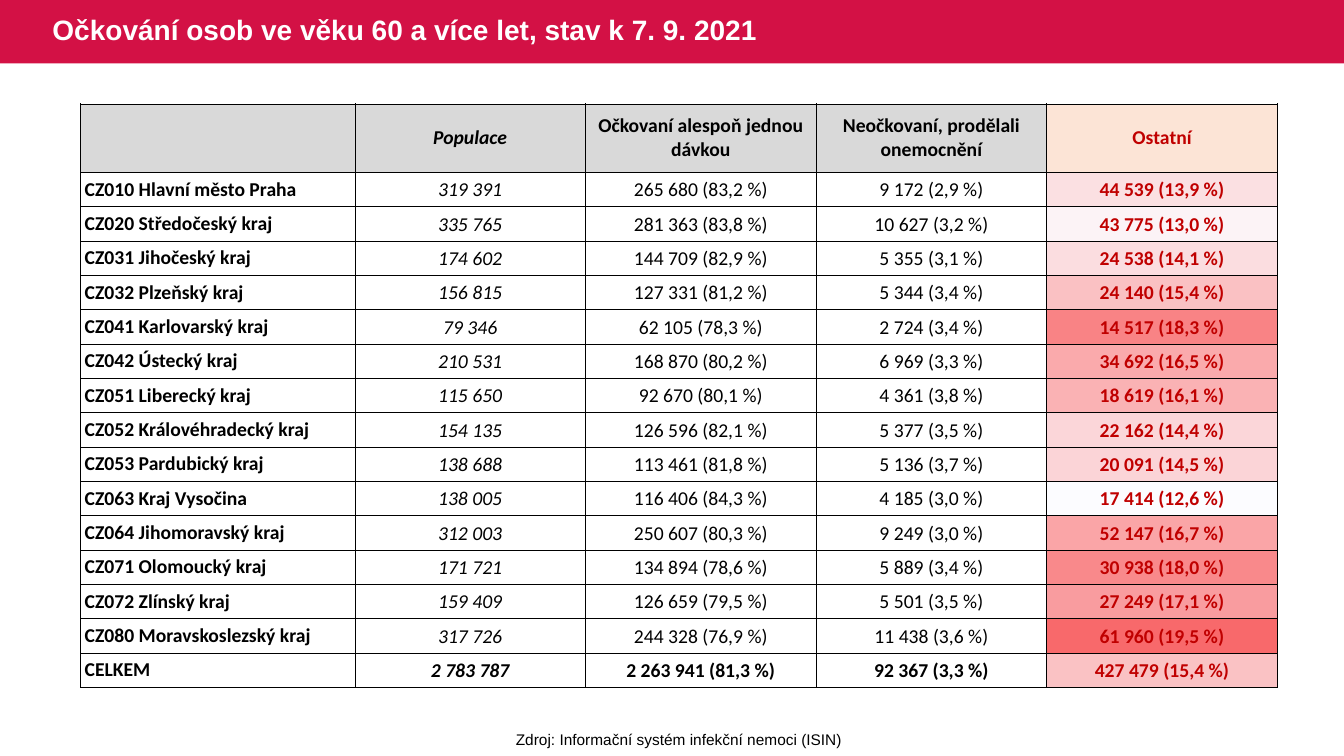
from dataclasses import astuple, dataclass
from typing import Any

from lxml.etree import SubElement
from pptx import Presentation
from pptx.dml.color import RGBColor
from pptx.enum.shapes import MSO_SHAPE
from pptx.enum.text import MSO_ANCHOR, MSO_AUTO_SIZE, PP_ALIGN
from pptx.oxml.ns import qn
from pptx.util import Inches, Pt

BLACK = RGBColor(0x00, 0x00, 0x00)
WHITE = RGBColor(0xFF, 0xFF, 0xFF)
BRAND = RGBColor(0xD3, 0x11, 0x45)
GREY = RGBColor(0xD9, 0xD9, 0xD9)
PEACH = RGBColor(0xFC, 0xE4, 0xD6)
RED = RGBColor(0xC0, 0x00, 0x00)
LOW = RGBColor(0xFC, 0xFC, 0xFF)
HIGH = RGBColor(0xF8, 0x69, 0x6B)

LEFT, TOP, WIDTH = Inches(0.8), Inches(1.03), Inches(11.87)
HEAD, BODY = Inches(0.68), Inches(5.11)
FIRST = Inches(2.72)
COL = (WIDTH - FIRST) // 4

WIDE = {"margin_left": Inches(0.04), "margin_right": Inches(0.04),
        "margin_top": 0, "margin_bottom": 0}
TIGHT = {"margin_left": Inches(0.01), "margin_right": Inches(0.01),
         "margin_top": Inches(0.01), "margin_bottom": 0}


@dataclass
class Region:
    name: str
    people: int
    jabbed: int
    healed: int
    others: int

    @property
    def share(self) -> float:
        return self.others / self.people

    def texts(self) -> list[str]:
        name, people, *parts = astuple(self)
        return [name, number(people)] + [
            f"{number(part)} ({part / people:.1%})".replace(".", ",").replace("%", " %")
            for part in parts]


HEADS = ["", "Populace", "Očkovaní alespoň jednou dávkou",
         "Neočkovaní, prodělali onemocnění", "Ostatní"]
REGIONS = [
    Region("CZ010 Hlavní město Praha", 319391, 265680, 9172, 44539),
    Region("CZ020 Středočeský kraj", 335765, 281363, 10627, 43775),
    Region("CZ031 Jihočeský kraj", 174602, 144709, 5355, 24538),
    Region("CZ032 Plzeňský kraj", 156815, 127331, 5344, 24140),
    Region("CZ041 Karlovarský kraj", 79346, 62105, 2724, 14517),
    Region("CZ042 Ústecký kraj", 210531, 168870, 6969, 34692),
    Region("CZ051 Liberecký kraj", 115650, 92670, 4361, 18619),
    Region("CZ052 Královéhradecký kraj", 154135, 126596, 5377, 22162),
    Region("CZ053 Pardubický kraj", 138688, 113461, 5136, 20091),
    Region("CZ063 Kraj Vysočina", 138005, 116406, 4185, 17414),
    Region("CZ064 Jihomoravský kraj", 312003, 250607, 9249, 52147),
    Region("CZ071 Olomoucký kraj", 171721, 134894, 5889, 30938),
    Region("CZ072 Zlínský kraj", 159409, 126659, 5501, 27249),
    Region("CZ080 Moravskoslezský kraj", 317726, 244328, 11438, 61960),
    Region("CELKEM", 2783787, 2263941, 92367, 427479),
]
ROW = BODY // len(REGIONS)


def number(value: int) -> str:
    return f"{value:,}".replace(",", " ")


def shade(share: float) -> RGBColor:
    """Blend LOW to HIGH by the place of a share in the range."""
    shares = [region.share for region in REGIONS]
    ratio = (share - min(shares)) / (max(shares) - min(shares))
    return RGBColor(*(round(a + (b - a) * ratio) for a, b in zip(LOW, HIGH)))


def apply(target: Any, values: dict[str, Any]) -> None:
    for name, value in values.items():
        setattr(target, name, value)


def write(frame: Any, text: str, color: RGBColor, align: PP_ALIGN, **font: Any) -> None:
    line = frame.paragraphs[0]
    line.alignment = align
    run = line.add_run()
    run.text = text
    apply(run.font, font)
    run.font.color.rgb = color


def border(cell: Any, color: RGBColor | None) -> None:
    props = cell._tc.get_or_add_tcPr()
    for side in ("a:lnL", "a:lnR", "a:lnT", "a:lnB"):
        line = SubElement(props, qn(side), w=str(Pt(0.5)))
        if color is None:
            SubElement(line, qn("a:noFill"))
        else:
            fill = SubElement(line, qn("a:solidFill"))
            SubElement(fill, qn("a:srgbClr"), val=str(color))


def paint(cell: Any, color: RGBColor | None) -> None:
    if color is None:
        cell.fill.background()
    else:
        cell.fill.solid()
        cell.fill.fore_color.rgb = color


def grid(shapes: Any, left: int, top: int, cols: list[int], rows: list[int]) -> Any:
    table = shapes.add_table(len(rows), len(cols), left, top, sum(cols), sum(rows)).table
    apply(table, {"first_row": False, "horz_banding": False})
    for col, width in zip(table.columns, cols):
        col.width = width
    for row, height in zip(table.rows, rows):
        row.height = height
    return table


def main() -> None:
    deck = Presentation()
    apply(deck, {"slide_width": Inches(13.33), "slide_height": Inches(7.5)})
    slide = deck.slides.add_slide(deck.slide_layouts[5])
    shapes = slide.shapes

    # Title on its band
    title = shapes.title
    apply(title, {"left": Inches(0.42), "top": 0,
                  "width": Inches(8.28), "height": Inches(0.63)})
    apply(title.text_frame, {"vertical_anchor": MSO_ANCHOR.MIDDLE, "word_wrap": True,
                             "auto_size": MSO_AUTO_SIZE.NONE})
    write(title.text_frame, "Očkování osob ve věku 60 a více let, stav k 7. 9. 2021",
          WHITE, PP_ALIGN.LEFT, name="Arial", size=Pt(20), bold=True)
    title.text_frame.paragraphs[0].line_spacing = 0.9
    band = shapes.add_shape(MSO_SHAPE.RECTANGLE, 0, 0, deck.slide_width, Inches(0.63))
    band.shadow.inherit = False
    band.fill.solid()
    band.fill.fore_color.rgb = BRAND
    band.line.fill.background()
    title.element.addprevious(band.element)

    # Heat scale behind the last column
    heat = grid(shapes, LEFT + FIRST + 3 * COL, TOP + HEAD, [COL], [ROW] * len(REGIONS))
    for cell, region in zip(heat.iter_cells(), REGIONS):
        apply(cell, WIDE)
        border(cell, None)
        paint(cell, shade(region.share))

    # Table of regions
    table = grid(shapes, LEFT, TOP, [FIRST] + [COL] * 4, [HEAD] + [ROW] * len(REGIONS))
    lines = [HEADS] + [region.texts() for region in REGIONS]
    for r, texts in enumerate(lines):
        top, total = r == 0, r == len(REGIONS)
        for c, text in enumerate(texts):
            cell = table.cell(r, c)
            first, last = c == 0, c == 4
            apply(cell, WIDE if top or first else TIGHT)
            cell.vertical_anchor = MSO_ANCHOR.MIDDLE
            border(cell, BLACK)
            paint(cell, (PEACH if last else GREY) if top else None)
            if text:
                write(cell.text_frame, text, RED if last else BLACK,
                      PP_ALIGN.LEFT if first else PP_ALIGN.CENTER,
                      name="Calibri", size=Pt(14), italic=c == 1,
                      bold=top or total or first or last)

    # Source note
    note = shapes.add_textbox(Inches(5.01), Inches(7.19), Inches(3.45), Inches(0.29))
    apply(note.text_frame, {"word_wrap": False,
                            "auto_size": MSO_AUTO_SIZE.SHAPE_TO_FIT_TEXT})
    write(note.text_frame, "Zdroj: Informační systém infekční nemoci (ISIN)",
          BLACK, PP_ALIGN.CENTER, name="Arial", size=Pt(11))

    deck.save("out.pptx")


if __name__ == "__main__":
    main()
